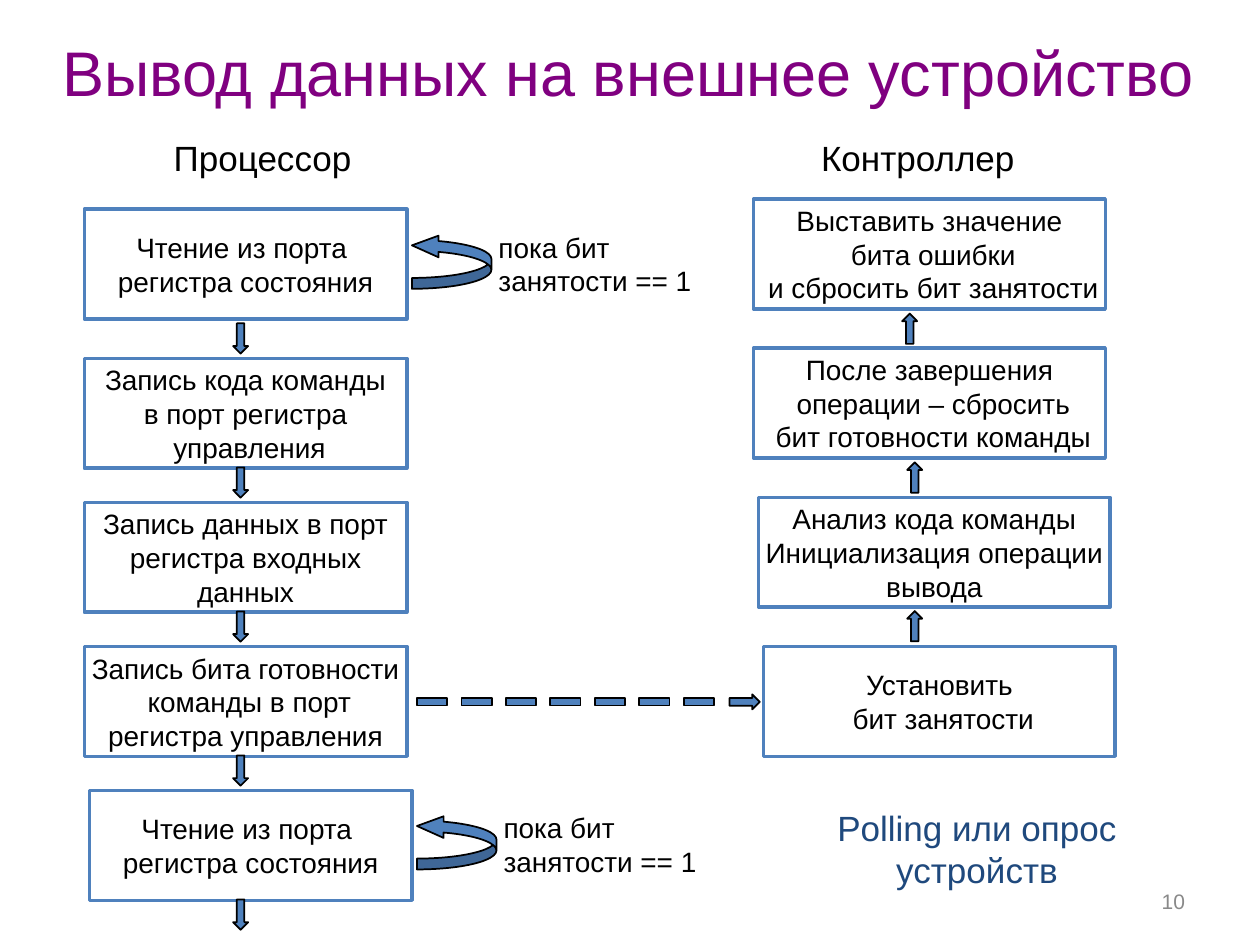
from pptx import Presentation
from pptx.dml.color import RGBColor
from pptx.enum.shapes import MSO_SHAPE as Shape
from pptx.enum.text import MSO_ANCHOR as Anchor, MSO_AUTO_SIZE as Fit, PP_ALIGN as Align
from pptx.util import Pt

COLORS = {"title": "800080", "text": "000000", "blue": "4F81BD", "navy": "1F497D",
          "gray": "898989", "white": "FFFFFF"}
BOX_H = 62.8
LEFT_W, RIGHT_W = 184.3, 201
LEFT_STEP, RIGHT_STEP = 82.3, 85.2

READ = "Чтение из порта \vрегистра состояния"
# Processor steps, top to bottom: left, top, text
LEFT = [
    (48.2, 119.5, READ),
    (48.2, 204.8, "Запись кода команды\vв порт регистра\v управления"),
    (48.2, 204.8 + LEFT_STEP, "Запись данных в порт\vрегистра входных\vданных"),
    (48.2, 204.8 + 2 * LEFT_STEP,
     "Запись бита готовности\n команды в порт\vрегистра управления"),
    (51.1, 204.8 + 3 * LEFT_STEP, READ),
]
# Controller steps, top to bottom: left, text
RIGHT = [
    (430.6, "Выставить значение\v бита ошибки\v и сбросить бит занятости"),
    (430.6, "После завершения\v операции – сбросить\v бит готовности команды"),
    (433.4, "Анализ кода команды\nИнициализация операции\vвывода"),
    (436.3, "Установить\v бит занятости"),
]


def color(name):
    return RGBColor.from_string(COLORS[name])


def write(frame, text, size, ink="text", align=Align.CENTER):
    frame.text = text
    for para in frame.paragraphs:
        para.alignment = align
        para.font.name = "Arial"
        para.font.size = Pt(size)
        para.font.color.rgb = color(ink)


def add_form(slide, kind, x, y, w, h, fill="blue", line="text", width=1):
    form = slide.shapes.add_shape(kind, Pt(x), Pt(y), Pt(w), Pt(h))
    form.shadow.inherit = False
    form.fill.solid()
    form.fill.fore_color.rgb = color(fill)
    form.line.color.rgb = color(line)
    form.line.width = Pt(width)
    return form


def add_step(slide, x, y, w, text):
    box = add_form(slide, Shape.RECTANGLE, x, y, w, BOX_H, "white", "blue", 2)
    frame = box.text_frame
    frame.word_wrap = False
    frame.vertical_anchor = Anchor.MIDDLE
    write(frame, text, 16)


def add_arrow(slide, x, y, turn=0):
    arrow = add_form(slide, Shape.DOWN_ARROW, x, y, 8.6, 17.3)
    arrow.rotation = turn


def add_label(slide, x, y, w, h, text, size, ink="text", align=Align.CENTER):
    frame = slide.shapes.add_textbox(Pt(x), Pt(y), Pt(w), Pt(h)).text_frame
    frame.word_wrap = True
    write(frame, text, size, ink, align)
    return frame


def add_loop(slide, x, y):
    loop = add_form(slide, Shape.CURVED_RIGHT_ARROW, x, y, 45.4, 31)
    loop.rotation = 180
    for i, value in enumerate((0.2, 0.4, 0.49)):
        loop.adjustments[i] = value
    add_label(slide, x + 42.4, y - 6, 136, 46, "пока бит занятости == 1", 16,
              align=Align.LEFT)


def add_title(slide, text):
    title = slide.shapes.title
    title.left, title.top, title.width, title.height = Pt(23.8), Pt(12.2), Pt(670.3), Pt(56.9)
    title.text_frame.auto_size = Fit.NONE
    title.text_frame.vertical_anchor = Anchor.MIDDLE
    write(title.text_frame, text, 36, "title")


def main():
    deck = Presentation()
    deck.slide_width, deck.slide_height = Pt(720), Pt(540)
    slide = deck.slides.add_slide(deck.slide_layouts[5])
    add_title(slide, "Вывод данных на внешнее устройство")

    # Column headings
    for x, text in ((73.4, "Процессор"), (447.8, "Контроллер")):
        add_label(slide, x, 74.2, 153.4, 31.7, text, 20)

    # Processor column with its downward arrows
    for x, y, text in LEFT:
        add_step(slide, x, y, LEFT_W, text)
    for i in range(len(LEFT)):
        add_arrow(slide, 133.2, 184.8 + i * LEFT_STEP)

    # Busy-wait loops
    add_loop(slide, 235.4, 134)
    add_loop(slide, 238.3, 465.8)

    # Controller column with its upward arrows
    for i, (x, text) in enumerate(RIGHT):
        add_step(slide, x, 113.8 + i * RIGHT_STEP, RIGHT_W, text)
    for i, x in enumerate((515.5, 518.4, 518.4)):
        add_arrow(slide, x, 179.2 + i * 85, 180)

    # Dashed signal from processor to controller
    for i in range(7):
        add_form(slide, Shape.RECTANGLE, 238.3 + i * 25.4, 398.9, 17.3, 4.3)
    add_arrow(slide, 421.2, 392.4, 270)

    # Method name and page number
    add_label(slide, 436.3, 457.2, 244, 55.4, "Polling или опрос устройств", 20, "navy")
    page = add_label(slide, 516.2, 500.4, 168, 28.8, "10", 12, "gray", Align.RIGHT)
    page.vertical_anchor = Anchor.MIDDLE

    deck.save("out.pptx")


if __name__ == "__main__":
    main()
